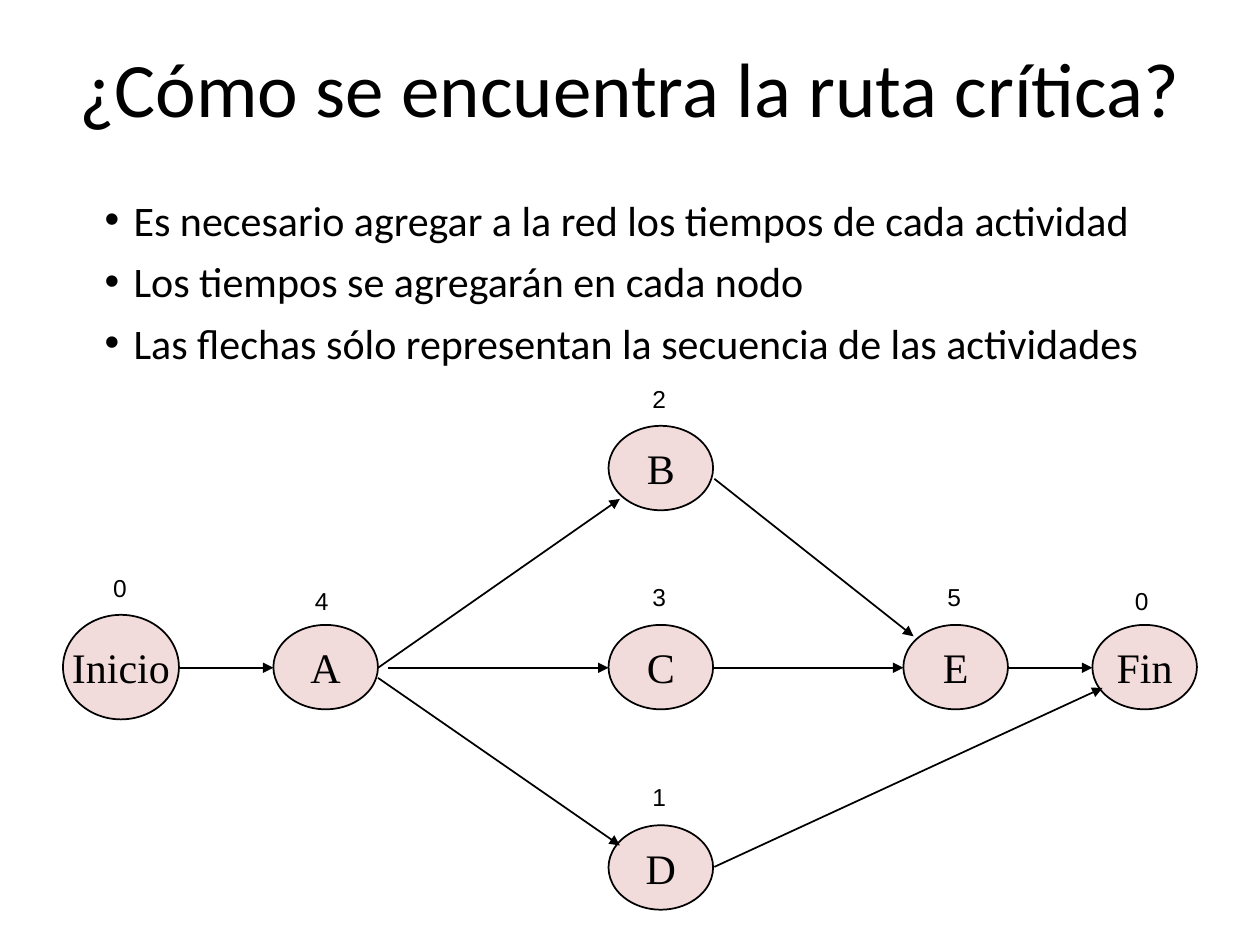
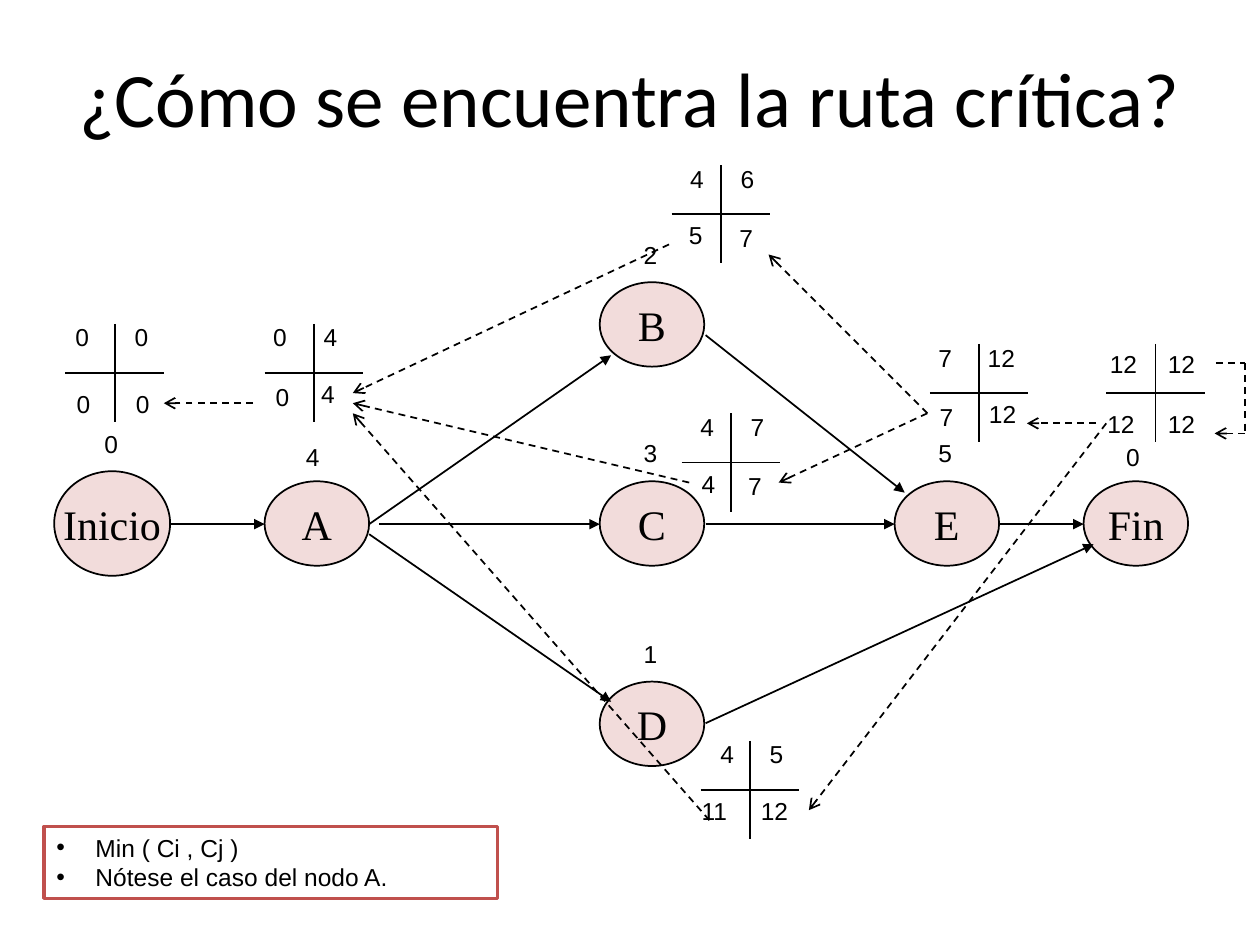
from lxml import etree
from pptx import Presentation
from pptx.dml.color import RGBColor
from pptx.enum.dml import MSO_LINE
from pptx.enum.shapes import MSO_CONNECTOR, MSO_SHAPE
from pptx.enum.text import MSO_ANCHOR, MSO_AUTO_SIZE, PP_ALIGN
from pptx.oxml.ns import qn
from pptx.util import Inches, Pt

STRAIGHT = MSO_CONNECTOR.STRAIGHT
DASH = MSO_LINE.DASH
OVAL, RECT = MSO_SHAPE.OVAL, MSO_SHAPE.RECTANGLE
MIDDLE, TOP = MSO_ANCHOR.MIDDLE, MSO_ANCHOR.TOP
CENTER, LEFT = PP_ALIGN.CENTER, PP_ALIGN.LEFT
FIT_SHAPE, NO_FIT = MSO_AUTO_SIZE.SHAPE_TO_FIT_TEXT, MSO_AUTO_SIZE.NONE

BLACK, WHITE, PINK, RED = "000000", "FFFFFF", "F2DCDB", "C0504D"
TITLE = "¿Cómo se encuentra la ruta crítica?"
TITLE_LAYOUT, BODY_LAYOUT = 5, 1
ARM = 0.39  # half the length of a cross line

# name, left, top, width, height, duration, duration left, duration top
NODES = [
    ("Inicio", 0.5, 4.88, 0.92, 0.83, "0", 0.8, 4.5),
    ("A", 2.17, 4.96, 0.83, 0.67, "4", 2.4, 4.6),
    ("B", 4.83, 3.38, 0.83, 0.67, "2", 5.08, 3),
    ("C", 4.83, 4.96, 0.83, 0.67, "3", 5.08, 4.57),
    ("D", 4.83, 6.55, 0.83, 0.67, "1", 5.08, 6.16),
    ("E", 7.17, 4.96, 0.83, 0.67, "5", 7.42, 4.57),
    ("Fin", 8.67, 4.96, 0.83, 0.67, "0", 8.91, 4.6),
]
SEQUENCE = [
    (1.42, 5.3, 2.17, 5.3), (3, 5.3, 4.92, 3.96), (3.08, 5.3, 4.83, 5.3),
    (3, 5.38, 4.92, 6.71), (5.67, 5.3, 7.17, 5.3), (5.67, 3.8, 7.25, 5.05),
    (8, 5.3, 8.67, 5.3), (5.67, 6.88, 8.75, 5.46),
]

# centre of each cross, then its four times with their places
CROSSES = [
    (0.91, 2.96, [("0", 0.5, 2.51), ("0", 0.97, 2.51),
                  ("0", 0.51, 3.04), ("0", 0.98, 3.04)]),
    (2.49, 2.96, [("0", 2.07, 2.51), ("4", 2.47, 2.51),
                  ("0", 2.09, 2.98), ("4", 2.45, 2.96)]),
    (5.72, 1.7, [("4", 5.38, 1.25), ("6", 5.78, 1.25),
                 ("5", 5.37, 1.7), ("7", 5.77, 1.72)]),
    (5.8, 3.67, [("4", 5.46, 3.22), ("7", 5.86, 3.22),
                 ("4", 5.47, 3.67), ("7", 5.84, 3.69)]),
    (5.95, 6.27, [("4", 5.62, 5.82), ("5", 6.01, 5.82),
                  ("11", 5.47, 6.27), ("12", 5.94, 6.27)]),
    (7.77, 3.12, [("7", 7.35, 2.67), ("12", 7.74, 2.67),
                  ("7", 7.36, 3.14), ("12", 7.75, 3.12)]),
    (9.17, 3.12, [("12", 8.71, 2.72), ("12", 9.17, 2.72),
                  ("12", 8.69, 3.2), ("12", 9.17, 3.2)]),
]
BACKWARD_PASS = [
    (9.88, 3.44, 9.64, 3.44), (8.7, 3.36, 8.15, 3.36),
    (8.78, 3.36, 6.42, 6.43), (7.36, 3.28, 6.1, 2.02),
    (7.36, 3.28, 6.18, 3.83), (5.31, 1.94, 2.8, 3.12),
    (5.47, 3.83, 2.8, 3.2), (5.63, 6.51, 2.8, 3.28), (2.01, 3.2, 1.3, 3.2),
]
FIN_LOOP = [(9.65, 2.88, 9.88, 2.88), (9.88, 2.88, 9.88, 3.44)]


def rgb(color):
    return RGBColor.from_string(color)


def place(shape, *box):
    shape.left, shape.top, shape.width, shape.height = map(Inches, box)


def format_text(p, font, size, align=LEFT):
    p.alignment = align
    for r in p.runs:
        r.font.name, r.font.size = font, Pt(size)
        r.font.color.rgb = rgb(BLACK)


def add_bullet(p, margin, hanging):
    pPr = p._p.get_or_add_pPr()
    pPr.set("marL", str(Inches(margin)))
    pPr.set("indent", str(-Inches(hanging)))
    etree.SubElement(pPr, qn("a:buFont"), typeface="Arial")
    etree.SubElement(pPr, qn("a:buChar"), char="•")


def fill_list(tf, items, font, size, margin, hanging, gap=0):
    tf.text = "\n".join(items)
    for i, p in enumerate(tf.paragraphs):
        add_bullet(p, margin, hanging)
        p.space_before = Pt(gap if i else 0)
        format_text(p, font, size)


def set_placeholder(shape, box, anchor):
    place(shape, *box)
    tf = shape.text_frame
    tf.auto_size, tf.vertical_anchor = NO_FIT, anchor
    tf.margin_left = tf.margin_right = Inches(0.1)
    tf.margin_top = tf.margin_bottom = Inches(0.1)
    return tf


def add_titled_slide(prs, layout, top):
    s = prs.slides.add_slide(prs.slide_layouts[layout])
    tf = set_placeholder(s.shapes.title, (0.5, top, 9, 1.25), MIDDLE)
    tf.text = TITLE
    format_text(tf.paragraphs[0], "Calibri", 44, CENTER)
    return s


def add_line(s, x1, y1, x2, y2, end=None, dashed=False):
    """Draw a line; end names the arrowhead at (x2, y2)."""
    line = s.shapes.add_connector(STRAIGHT, *map(Inches, (x1, y1, x2, y2)))
    line.line.color.rgb = rgb(BLACK)
    line.line.width = Pt(1)
    if dashed:
        line.line.dash_style = DASH
    if end:
        etree.SubElement(line.line._get_or_add_ln(), qn("a:tailEnd"), type=end)
    etree.SubElement(line._element.spPr, qn("a:effectLst"))


def add_box(s, kind, box, fill, outline, width):
    sp = s.shapes.add_shape(kind, *map(Inches, box))
    sp.shadow.inherit = False
    sp.fill.solid()
    sp.fill.fore_color.rgb = rgb(fill)
    sp.line.color.rgb = rgb(outline)
    sp.line.width = Pt(width)
    return sp


def add_node(s, name, *box):
    tf = add_box(s, OVAL, box, PINK, BLACK, 1).text_frame
    tf.word_wrap, tf.vertical_anchor = False, MIDDLE
    tf.text = name
    format_text(tf.paragraphs[0], "Times New Roman", 24, CENTER)


def add_time(s, text, x, y):
    width = 0.2 + 0.14 * len(text)
    tf = s.shapes.add_textbox(*map(Inches, (x, y, width, 0.4))).text_frame
    tf.word_wrap, tf.auto_size = False, FIT_SHAPE
    tf.text = text
    format_text(tf.paragraphs[0], "Arial", 14)


def add_network(s, dx=0, dy=0):
    for name, x, y, w, h, time, time_x, time_y in NODES:
        add_node(s, name, x + dx, y + dy, w, h)
        add_time(s, time, time_x + dx, time_y + dy)
    for x1, y1, x2, y2 in SEQUENCE:
        add_line(s, x1 + dx, y1 + dy, x2 + dx, y2 + dy, "triangle")


def add_cross(s, cx, cy, times):
    add_line(s, cx, cy - ARM, cx, cy + ARM)
    add_line(s, cx - ARM, cy, cx + ARM, cy)
    for time in times:
        add_time(s, *time)


def add_legend(s, items):
    tf = add_box(s, RECT, (0.35, 6.56, 3.6, 0.57), WHITE, RED, 2).text_frame
    tf.word_wrap, tf.vertical_anchor, tf.auto_size = True, TOP, FIT_SHAPE
    fill_list(tf, items, "Arial", 14, 0.31, 0.31)


def build_durations_slide(prs):
    s = add_titled_slide(prs, BODY_LAYOUT, 0.06)
    tf = set_placeholder(s.placeholders[1], (0.5, 1.44, 9, 2.87), TOP)
    fill_list(tf, [
        "Es necesario agregar a la red los tiempos de cada actividad",
        "Los tiempos se agregarán en cada nodo",
        "Las flechas sólo representan la secuencia de las actividades",
    ], "Calibri", 24, 0.46, 0.23, gap=6.4)
    add_network(s)


def build_backward_slide(prs):
    s = add_titled_slide(prs, TITLE_LAYOUT, 0.14)
    add_network(s, -0.07, -1.14)
    for cross in CROSSES:
        add_cross(s, *cross)
    for ends in FIN_LOOP:
        add_line(s, *ends, dashed=True)
    for ends in BACKWARD_PASS:
        add_line(s, *ends, end="arrow", dashed=True)
    add_legend(s, ["Min ( Ci , Cj )", "Nótese el caso del nodo A."])


def main():
    prs = Presentation()
    prs.slide_width, prs.slide_height = Inches(10), Inches(7.5)
    build_durations_slide(prs)
    build_backward_slide(prs)
    prs.save("out.pptx")


if __name__ == "__main__":
    main()
